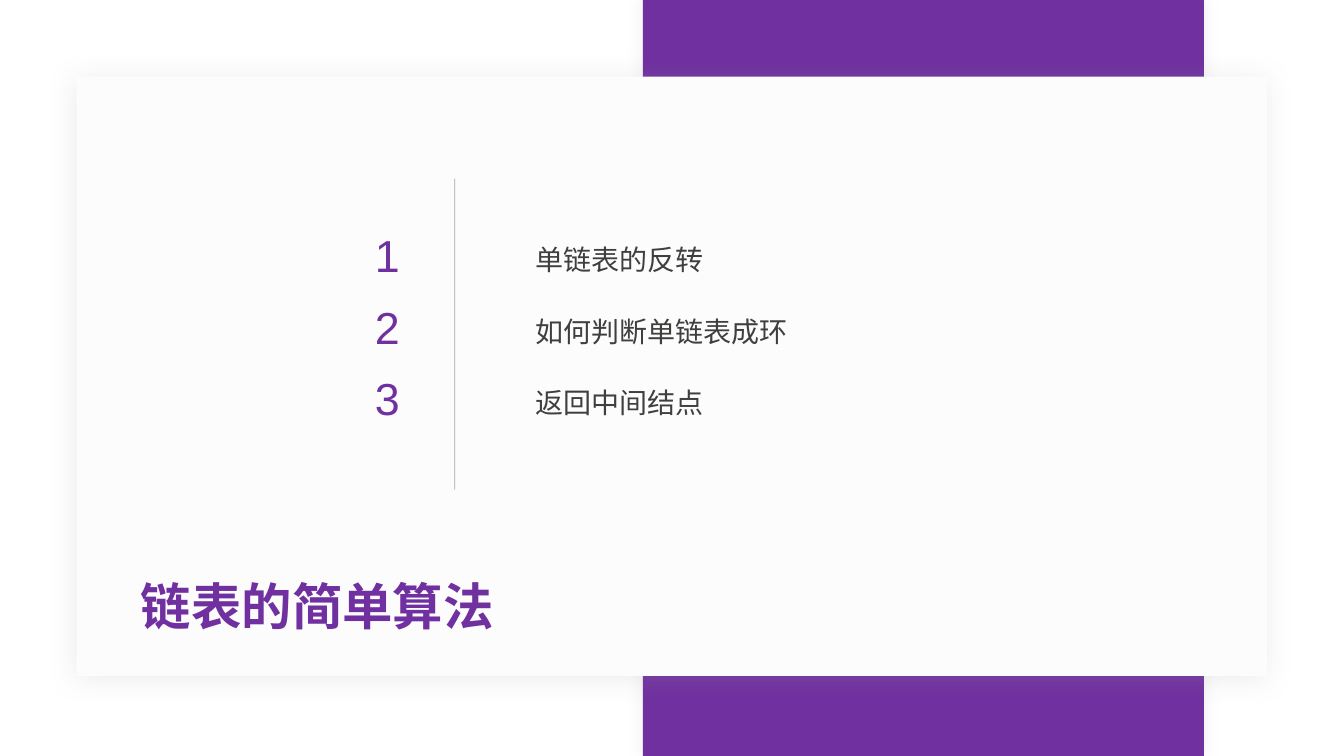
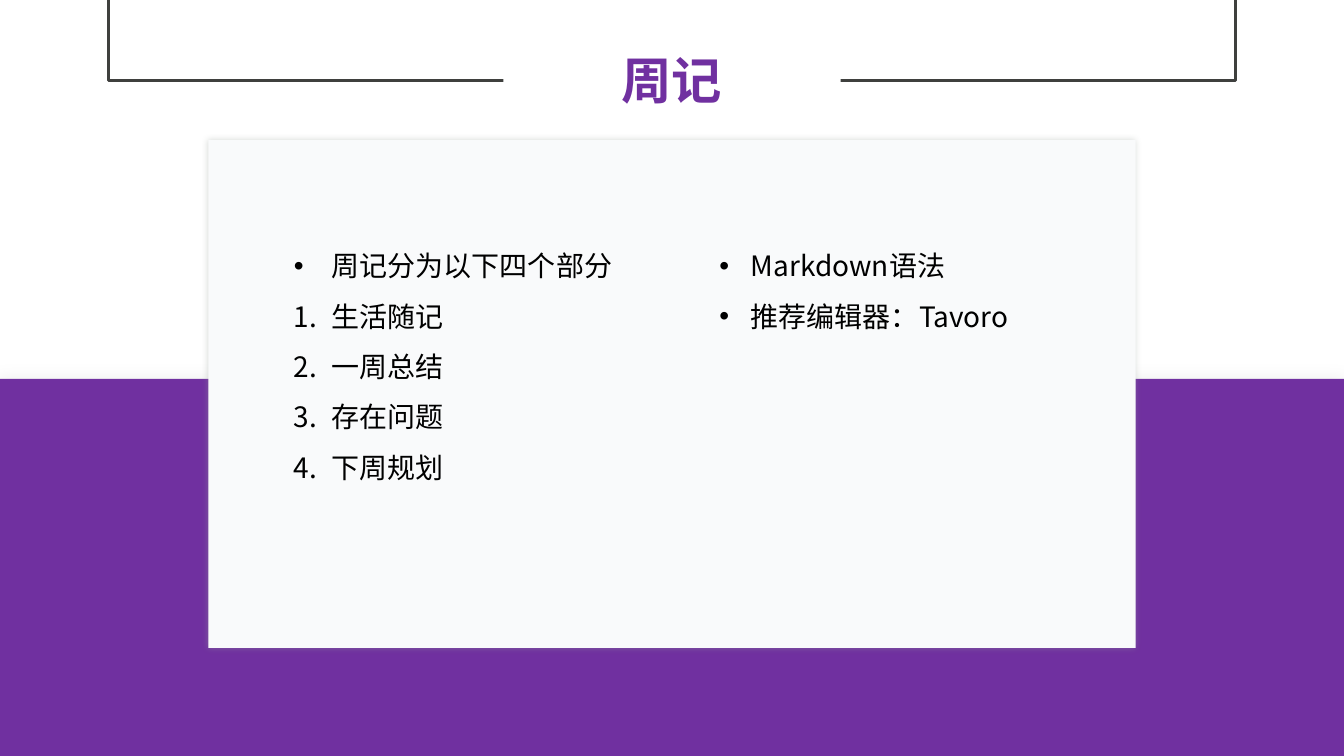
from dataclasses import dataclass, field
from typing import Any

from pptx import Presentation
from pptx.dml.color import RGBColor
from pptx.enum.shapes import MSO_CONNECTOR, MSO_SHAPE
from pptx.enum.text import PP_ALIGN as Align
from pptx.oxml.ns import qn
from pptx.oxml.xmlchemy import OxmlElement as Element
from pptx.util import Cm, Pt

WIDTH, HEIGHT = 33.87, 19.05
LATIN, CJK = "Arial", "Noto Sans CJK SC"
COLORS = {
    "purple": "7030A0",
    "white": "FFFFFF",
    "panel": "FCFCFD",
    "card": "F9FAFB",
    "ink": "3F403E",
    "rule": "262626",
    "black": "000000",
    "band_shadow": "D5D7D5",
    "card_shadow": "969F98",
}


def rgb(color):
    return RGBColor.from_string(COLORS[color])


def add_child(parent, tag, **attributes):
    child = Element(tag)
    for key, value in attributes.items():
        child.set(key, str(value))
    parent.append(child)
    return child


@dataclass
class Deck:
    """The shared style and the slide being built; all lengths are in cm."""

    prs: Any = field(default_factory=Presentation)
    slide: Any = None

    def set_size(self):
        self.prs.slide_width, self.prs.slide_height = Cm(WIDTH), Cm(HEIGHT)

    def new_slide(self):
        self.slide = self.prs.slides.add_slide(self.prs.slide_layouts[6])

    def block(self, left, top, width, height, color, shadow, alpha, blur, distance=0):
        """Plain rectangle with a soft shadow; blur and distance are in points."""
        block = self.slide.shapes.add_shape(
            MSO_SHAPE.RECTANGLE, Cm(left), Cm(top), Cm(width), Cm(height))
        block.fill.solid()
        block.fill.fore_color.rgb = rgb(color)
        block.line.fill.background()
        block.shadow.inherit = False
        effects = block.element.spPr.find(qn("a:effectLst"))
        outer = add_child(effects, "a:outerShdw", blurRad=Pt(blur), dist=Pt(distance),
                          dir=5400000, algn="ctr", rotWithShape=0)
        tint = add_child(outer, "a:srgbClr", val=COLORS[shadow])
        add_child(tint, "a:alpha", val=alpha * 1000)

    def band(self, left, top, width, height):
        self.block(left, top, width, height, "purple", "band_shadow", 40, 10)

    def frame(self, points, color, weight):
        """Open outline through the given points."""
        corners = [(Cm(x), Cm(y)) for x, y in points]
        builder = self.slide.shapes.build_freeform(*corners[0])
        builder.add_line_segments(corners[1:], close=False)
        outline = builder.convert_to_shape()
        outline.fill.background()
        outline.line.color.rgb = rgb(color)
        outline.line.width = Pt(weight)
        outline.shadow.inherit = False

    def divider(self, x, top, bottom):
        divider = self.slide.shapes.add_connector(
            MSO_CONNECTOR.STRAIGHT, Cm(x), Cm(top), Cm(x), Cm(bottom))
        divider.line.color.rgb = rgb("rule")
        divider.line.width = Pt(0.5)
        properties = divider.element.spPr
        add_child(properties.find(".//" + qn("a:srgbClr")), "a:alpha", val=40000)
        add_child(properties, "a:effectLst")

    def box(self, left, top, width, height, wrap=True):
        box = self.slide.shapes.add_textbox(Cm(left), Cm(top), Cm(width), Cm(height))
        box.text_frame.word_wrap = wrap
        return box

    def run(self, paragraph, text, size, color, latin=CJK, bold=False):
        run = paragraph.add_run()
        run.text = text
        run.font.size, run.font.bold = Pt(size), bold
        run.font.color.rgb = rgb(color)
        run.font.name = latin
        add_child(run.font._element, "a:ea", typeface=CJK)
        return run

    def title(self, text, left, top, width, align=Align.LEFT, fill=None):
        title = self.box(left, top, width, 1.8)
        if fill:
            title.fill.solid()
            title.fill.fore_color.rgb = rgb(fill)
        paragraph = title.text_frame.paragraphs[0]
        paragraph.alignment = align
        self.run(paragraph, text, 36, "purple", LATIN, bold=True)

    def agenda_item(self, number, text, top):
        numeral = self.box(9.2, top, 1, 1.63, wrap=False).text_frame.paragraphs[0]
        numeral.alignment = Align.CENTER
        self.run(numeral, str(number), 32, "purple", LATIN).font._element.set("spc", "-300")
        label = self.box(13.24, top + 0.2, 14.53, 1.22).text_frame.paragraphs[0]
        label.line_spacing = 1.2
        self.run(label, text, 20, "ink")

    def bullet_list(self, left, top, width, height, indent, bullets, numbered=()):
        """Bulleted lines followed by numbered ones."""
        frame = self.box(left, top, width, height).text_frame
        for index, text in enumerate([*bullets, *numbered]):
            paragraph = frame.add_paragraph() if index else frame.paragraphs[0]
            paragraph.line_spacing = 1.5
            properties = paragraph._element.get_or_add_pPr()
            properties.set("marL", str(Cm(indent)))
            properties.set("indent", str(-Cm(indent)))
            if index < len(bullets):
                add_child(properties, "a:buFont", typeface=LATIN)
                add_child(properties, "a:buChar", char="•")
            else:
                add_child(properties, "a:buFont", typeface="+mj-lt")
                add_child(properties, "a:buAutoNum", type="arabicPeriod")
            self.run(paragraph, text, 20, "black")


def build_agenda(deck):
    deck.new_slide()
    deck.band(16.2, 0, 14.14, HEIGHT)
    deck.block(1.93, 1.93, 30, 15.1, "panel", "card_shadow", 20, 20, distance=3)
    deck.title("链表的简单算法", 3.3, 14.38, 13.13)
    deck.divider(11.46, 4.5, 12.34)
    topics = ["单链表的反转", "如何判断单链表成环", "返回中间结点"]
    for index, topic in enumerate(topics):
        deck.agenda_item(index + 1, topic, 5.62 + index * 1.8)


def build_journal(deck):
    deck.new_slide()
    middle = 9.55
    deck.band(0, middle, WIDTH, HEIGHT - middle)
    side, base = 2.73, 2.03
    deck.frame([(side, 0), (side, base), (WIDTH - side, base), (WIDTH - side, 0)], "ink", 2)
    title_width = 8.5
    deck.title("周记", (WIDTH - title_width) / 2, 1.12, title_width, Align.CENTER, "white")
    card_width = 23.37
    deck.block((WIDTH - card_width) / 2, 3.53, card_width, 12.8, "card", "card_shadow", 40, 5)
    deck.bullet_list(17.88, 5.72, 11.66, 2.7, 0.79, ["Markdown语法", "推荐编辑器：Tavoro"])
    deck.bullet_list(7.16, 5.72, 9.5, 6.53, 0.95, ["周记分为以下四个部分"],
                     ["生活随记", "一周总结", "存在问题", "下周规划"])


def main():
    deck = Deck()
    deck.set_size()
    build_agenda(deck)
    build_journal(deck)
    deck.prs.save("out.pptx")


if __name__ == "__main__":
    main()
